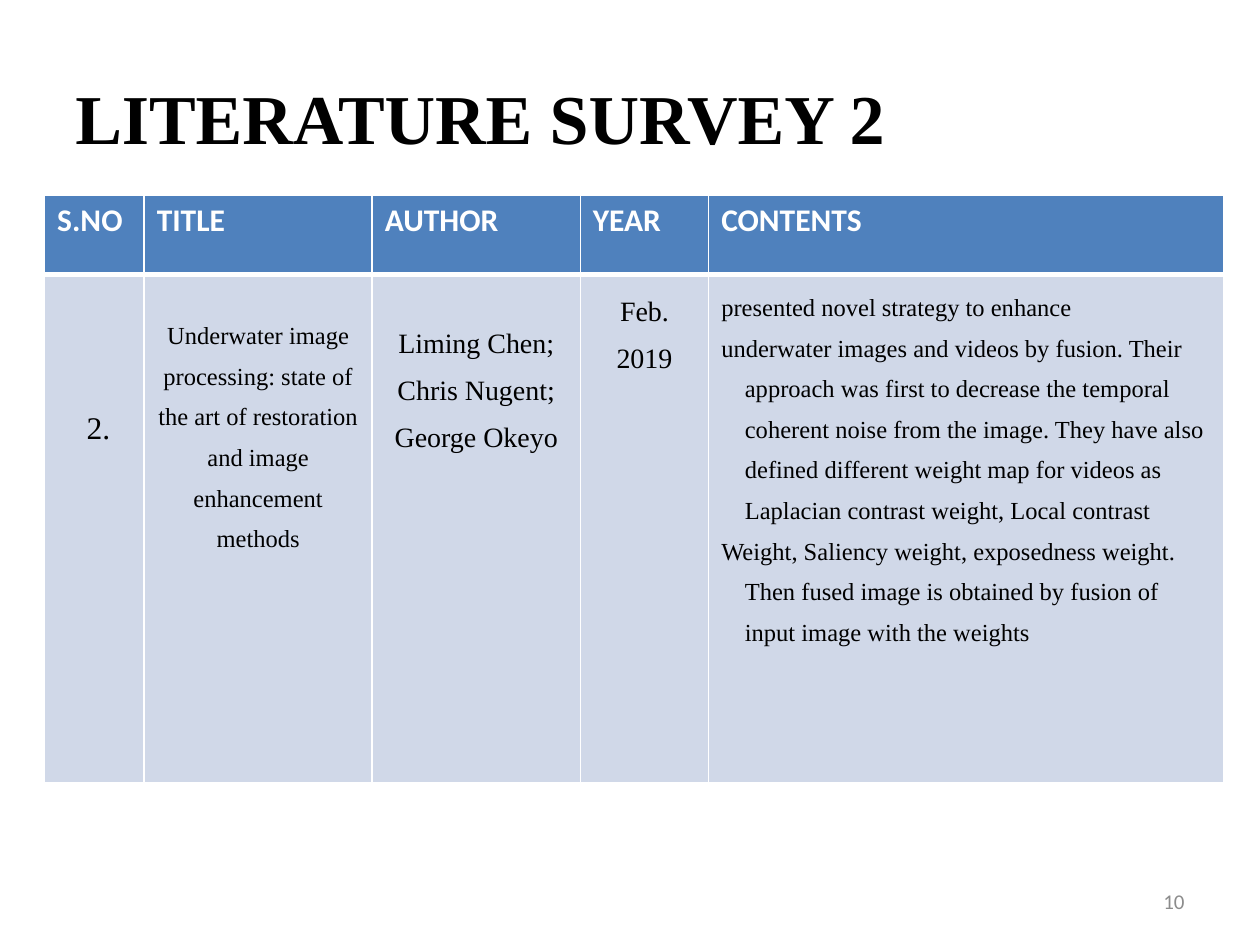
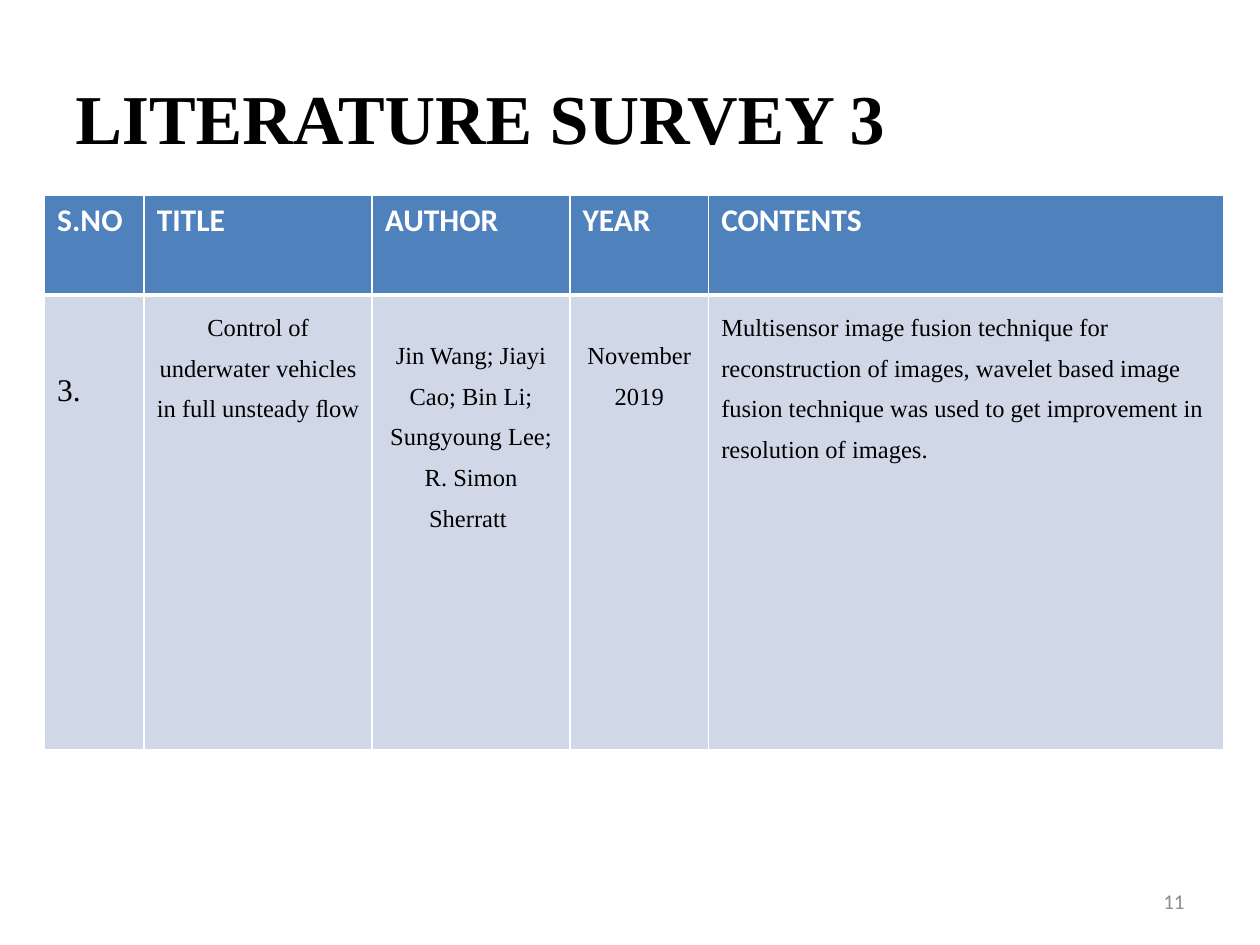
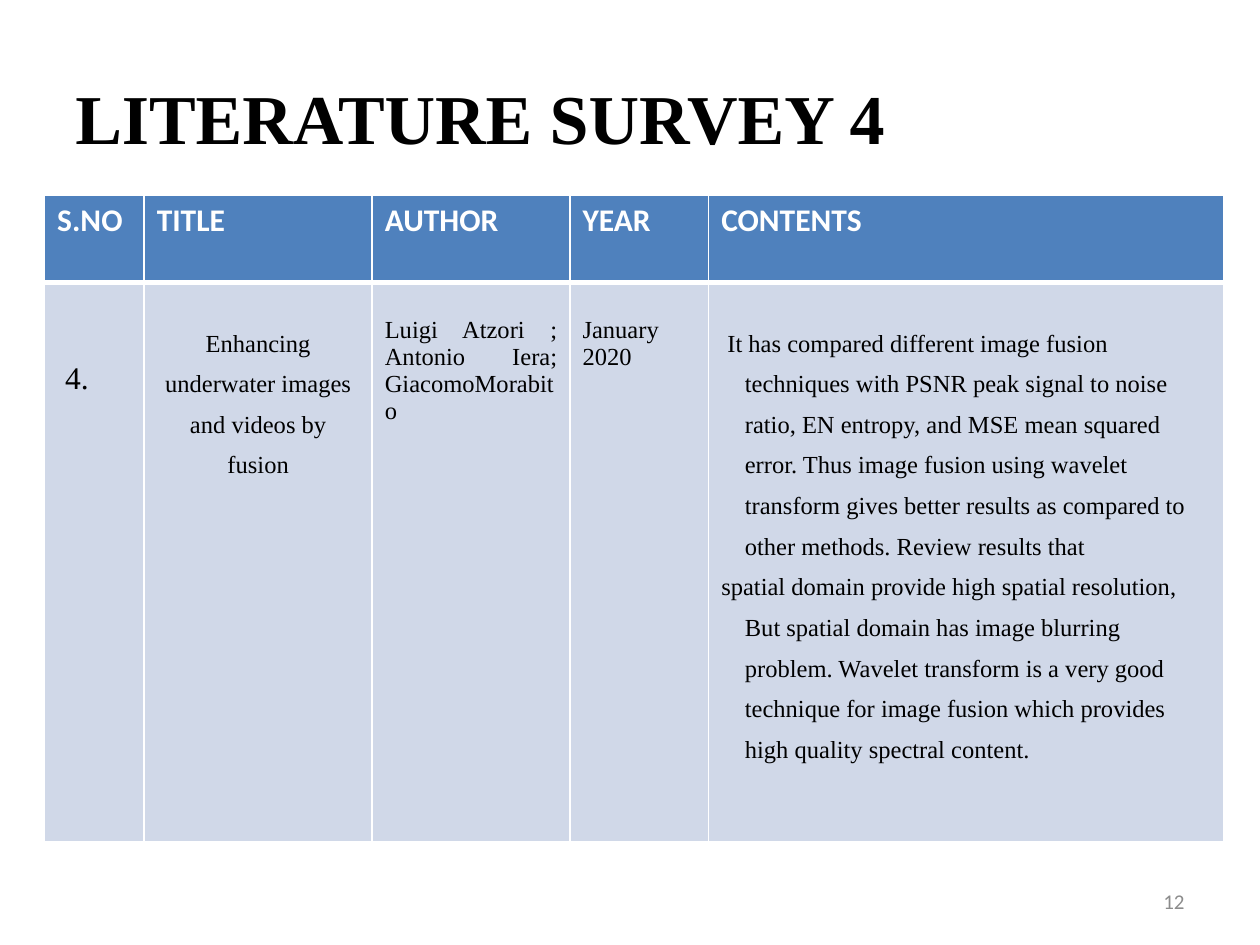
"""Build three literature survey slides, each with a title, a table and a page number."""
from pptx import Presentation
from pptx.dml.color import RGBColor as RGB
from pptx.enum.text import MSO_ANCHOR as ANCHOR, PP_ALIGN as AL
from pptx.oxml.ns import qn
from pptx.util import Pt
from lxml.etree import SubElement

COLORS = {"black": "000000", "white": "FFFFFF", "head": "4F81BD",
          "body": "D0D8E8", "page": "8C8C8C"}
SERIF, SANS = "Times New Roman", "Calibri"
HEADINGS = ["S.NO", "TITLE", "AUTHOR", "YEAR", "CONTENTS"]
HANG = 13.5

SURVEYS = [
    {"no": 2, "cols": [56.9, 130.3, 118.9, 73.4, 294.5], "rows": [45.4, 290.2],
     "cells": [
         (["2."], dict(size=18, align=AL.CENTER, top=78, left=11.7)),
         (["Underwater image processing: state of the art of restoration and image "
           "enhancement methods"], dict(align=AL.CENTER, spacing=1.5, top=19.7)),
         (["Liming Chen; Chris Nugent; George Okeyo"],
          dict(size=16, align=AL.CENTER, spacing=1.5, top=22)),
         (["Feb. 2019"], dict(size=16, align=AL.CENTER, spacing=1.5)),
         (["presented novel strategy to enhance",
           "underwater images and videos by fusion. Their approach was first to decrease "
           "the temporal coherent noise from the image. They have also defined different "
           "weight map for videos as Laplacian contrast weight, Local contrast",
           "Weight, Saliency weight, exposedness weight. Then fused image is obtained by "
           "fusion of input image with the weights"], dict(spacing=1.5, hang=HANG))]},
    {"no": 3, "cols": [56.9, 130.3, 113, 79.3, 294.5], "rows": [56.9, 259.9],
     "cells": [
         (["3."], dict(size=18, top=45)),
         (["Control of underwater vehicles in full unsteady ﬂow"],
          dict(align=AL.CENTER, spacing=1.5)),
         (["Jin Wang; Jiayi Cao; Bin Li; Sungyoung Lee; R. Simon Sherratt "],
          dict(align=AL.CENTER, spacing=1.5, top=19.7)),
         (["November 2019"], dict(align=AL.CENTER, spacing=1.5, top=19.7)),
         (["Multisensor image fusion technique for reconstruction of images, wavelet "
           "based image fusion technique was used to get improvement in resolution of "
           "images."], dict(spacing=1.5))]},
    {"no": 4, "cols": [56.9, 130.3, 113, 79.3, 294.5], "rows": [49.7, 319.7],
     "cells": [
         (["4."], dict(size=18, top=45, left=11.7)),
         (["Enhancing underwater images and videos by fusion"],
          dict(align=AL.CENTER, spacing=1.5, top=19.7)),
         (["Luigi Atzori ; Antonio Iera; GiacomoMorabito"],
          dict(align=AL.JUSTIFY, top=19.7)),
         (["January 2020"], dict(align=AL.JUSTIFY, top=19.7)),
         ([" It has compared different image fusion techniques with PSNR peak signal to "
           "noise ratio, EN entropy, and MSE mean squared error. Thus image fusion using "
           "wavelet transform gives better results as compared to other methods. Review "
           "results that",
           "spatial domain provide high spatial resolution, But spatial domain has image "
           "blurring problem. Wavelet transform is a very good technique for image fusion "
           "which provides high quality spectral content."],
          dict(spacing=1.5, hang=HANG, top=19.7))]},
]


def write(tf, lines, size=14, font=SERIF, color="black", bold=False, align=AL.LEFT,
          spacing=1.0, hang=0):
    """Fill a text frame with one paragraph per line."""
    tf.word_wrap = True
    for i, line in enumerate(lines):
        p = tf.paragraphs[0] if i == 0 else tf.add_paragraph()
        p.alignment = align
        p.line_spacing = spacing
        if hang:
            pPr = p._p.get_or_add_pPr()
            pPr.set("marL", str(Pt(hang)))
            pPr.set("indent", str(-Pt(hang)))
        r = p.add_run()
        r.text = line
        r.font.size = Pt(size)
        r.font.name = font
        r.font.bold = bold
        r.font.color.rgb = RGB.from_string(COLORS[color])


def style_cell(cell, fill, widths):
    """Set the fill of a cell and its left, right, top and bottom borders."""
    tcPr = cell._tc.get_or_add_tcPr()
    for side, width in zip("LRTB", widths):
        ln = SubElement(tcPr, qn(f"a:ln{side}"), w=str(Pt(width)))
        SubElement(SubElement(ln, qn("a:solidFill")), qn("a:srgbClr"), val=COLORS["white"])
    cell.fill.solid()
    cell.fill.fore_color.rgb = RGB.from_string(COLORS[fill])


prs = Presentation()
prs.slide_width, prs.slide_height = Pt(720), Pt(540)

for page, survey in enumerate(SURVEYS, start=10):
    s = prs.slides.add_slide(prs.slide_layouts[6])

    title = s.shapes.add_textbox(Pt(36), Pt(21.6), Pt(648), Pt(90)).text_frame
    title.vertical_anchor = ANCHOR.MIDDLE
    write(title, [f"LITERATURE SURVEY {survey['no']}"], size=40, bold=True)

    cols, rows = survey["cols"], survey["rows"]
    table = s.shapes.add_table(2, len(cols), Pt(25.5), Pt(111.6),
                               Pt(sum(cols)), Pt(sum(rows))).table
    table.horz_banding = False
    for row, height in zip(table.rows, rows):
        row.height = Pt(height)
    for c, (width, heading, (lines, fmt)) in enumerate(zip(cols, HEADINGS, survey["cells"])):
        table.columns[c].width = Pt(width)
        head, body = table.cell(0, c), table.cell(1, c)
        style_cell(head, "head", (1, 1, 1, 3))
        write(head.text_frame, [heading], size=18, font=SANS, color="white", bold=True)
        style_cell(body, "body", (1, 1, 3, 1))
        fmt = dict(fmt)
        body.margin_top = Pt(fmt.pop("top", 3.6))
        body.margin_left = Pt(fmt.pop("left", 7.2))
        write(body.text_frame, lines, **fmt)

    number = s.shapes.add_textbox(Pt(516), Pt(500.5), Pt(168), Pt(28.75)).text_frame
    number.vertical_anchor = ANCHOR.MIDDLE
    write(number, [str(page)], size=12, font=SANS, color="page", align=AL.RIGHT)

prs.save("out.pptx")
